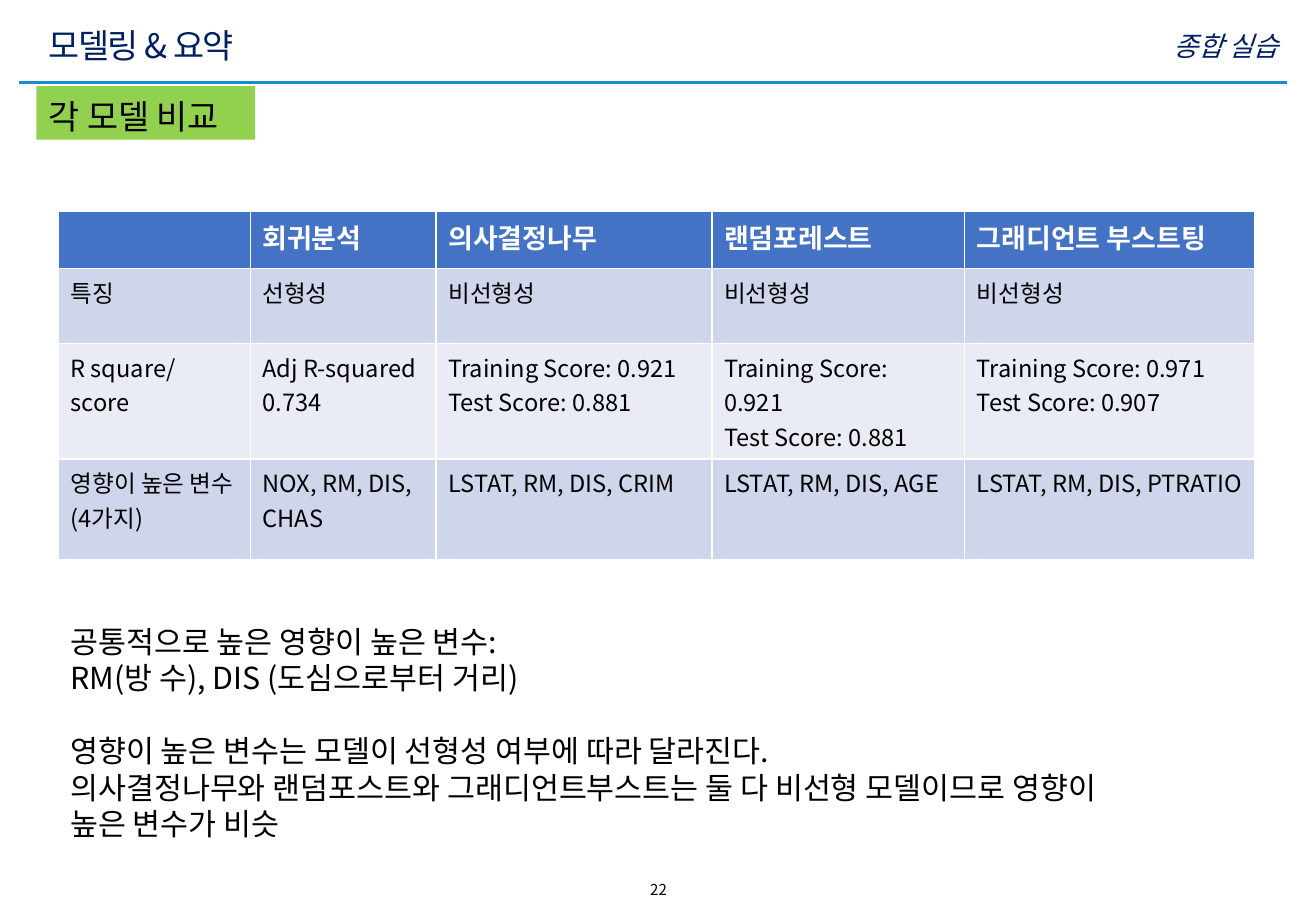
"""Build the model comparison slide."""
from lxml import etree
from pptx import Presentation
from pptx import util as u
from pptx.dml.color import RGBColor
from pptx.enum import shapes, text
from pptx.oxml.ns import qn

PX = 9144
FONT = "Noto Sans CJK KR"
NAVY, BLACK, WHITE = "002060", "000000", "FFFFFF"
LEFT, CENTER, RIGHT = text.PP_ALIGN.LEFT, text.PP_ALIGN.CENTER, text.PP_ALIGN.RIGHT
TOP, MIDDLE = text.MSO_ANCHOR.TOP, text.MSO_ANCHOR.MIDDLE

TITLE = ("모델링 & 요약", (30, 14, 851, 44))
COURSE = ("종합 실습", (655, 24, 407, 30))
SECTION = ("각 모델 비교", (30, 71, 180, 44))
PAGE_NUMBER = ("22", (439, 720, 206, 25))
RULE = (16, 68, 1059, 68)

TABLE_AT = (48, 174)
COLUMN_WIDTHS = (158, 153, 227, 208, 239)
ROW_HEIGHTS = (47, 62, 83, 83)
ROW_FILLS = ("4472C4", "CFD5EA", "E9EBF5", "CFD5EA")
ROWS = [
    ("", "회귀분석", "의사결정나무", "랜덤포레스트", "그래디언트 부스트팅"),
    ("특징", "선형성", "비선형성", "비선형성", "비선형성"),
    ("R square/\nscore", "Adj R-squared\n0.734",
     "Training Score: 0.921\nTest Score: 0.881",
     "Training Score: 0.921\nTest Score: 0.881",
     "Training Score: 0.971\nTest Score: 0.907"),
    ("영향이 높은 변수(4가지)", "NOX, RM, DIS, CHAS", "LSTAT, RM, DIS, CRIM",
     "LSTAT, RM, DIS, AGE", "LSTAT, RM, DIS, PTRATIO"),
]

SUMMARY_AT = (48, 508, 888, 192)
SUMMARY = [
    "공통적으로 높은 영향이 높은 변수:\nRM(방 수), DIS (도심으로부터 거리)",
    "영향이 높은 변수는 모델이 선형성 여부에 따라 달라진다.\n"
    "의사결정나무와 랜덤포스트와 그래디언트부스트는 둘 다 비선형 모델이므로 "
    "영향이 높은 변수가 비슷",
]


def px(*lengths):
    return [u.Emu(length * PX) for length in lengths]


def color(value):
    return RGBColor.from_string(value)


def fill(target, value):
    target.fill.solid()
    target.fill.fore_color.rgb = color(value)


def write(frame, content, size, ink=BLACK, align=LEFT, line=None, spacing=None, **font):
    frame.text = content
    for paragraph in frame.paragraphs:
        paragraph.alignment = align
        if line:
            paragraph.line_spacing = u.Pt(line)
        for run in paragraph.runs:
            values = {"name": FONT, "size": u.Pt(size), "bold": False, **font}
            for name, value in values.items():
                setattr(run.font, name, value)
            run.font.color.rgb = color(ink)
            properties = run._r.get_or_add_rPr()
            etree.SubElement(properties, qn("a:ea"), typeface=FONT)
            if spacing:
                properties.set("spc", str(spacing))


def frame_of(shape, **settings):
    values = {"word_wrap": True, "auto_size": text.MSO_AUTO_SIZE.NONE,
              "vertical_anchor": TOP, **settings}
    for name, value in values.items():
        setattr(shape.text_frame, name, value)
    return shape.text_frame


def add_text(slide, box, **settings):
    return frame_of(slide.shapes.add_textbox(*px(*box)), **settings)


def add_header(slide):
    content, box = TITLE
    title = slide.shapes.title
    for name, value in zip(("left", "top", "width", "height"), px(*box)):
        setattr(title, name, value)
    write(frame_of(title, vertical_anchor=MIDDLE), content, 20, NAVY, line=26, spacing=-100)

    content, box = COURSE
    write(add_text(slide, box, margin_top=0), content, 16, NAVY, RIGHT, italic=True)

    rule = slide.shapes.add_connector(shapes.MSO_CONNECTOR.STRAIGHT, *px(*RULE))
    rule.line.color.rgb = color("188DD0")
    rule.line.width = u.Pt(2)
    etree.SubElement(rule._element.spPr, qn("a:effectLst"))

    content, box = SECTION
    section = slide.shapes.add_shape(shapes.MSO_SHAPE.RECTANGLE, *px(*box))
    section.shadow.inherit = False
    section.line.fill.background()
    fill(section, "92D050")
    write(frame_of(section, word_wrap=False), content, 20, line=26)


def add_comparison(slide):
    size = sum(COLUMN_WIDTHS), sum(ROW_HEIGHTS)
    table = slide.shapes.add_table(
        len(ROWS), len(COLUMN_WIDTHS), *px(*TABLE_AT, *size)).table
    for column, width in zip(table.columns, px(*COLUMN_WIDTHS)):
        column.width = width
    for index, (row, height) in enumerate(zip(table.rows, px(*ROW_HEIGHTS))):
        row.height = height
        header = index == 0
        for cell, content in zip(row.cells, ROWS[index]):
            fill(cell, ROW_FILLS[index])
            write(cell.text_frame, content, 16 if header else 14,
                  WHITE if header else BLACK, bold=header)


def add_summary(slide):
    frame = add_text(slide, SUMMARY_AT)
    write(frame, "\n".join(SUMMARY), 18, line=21.6)
    second_part = SUMMARY[0].count("\n") + 1
    frame.paragraphs[second_part].space_before = u.Pt(21.6)


def main():
    presentation = Presentation()
    presentation.slide_width, presentation.slide_height = px(1083, 750)
    slide = presentation.slides.add_slide(presentation.slide_layouts[5])
    add_header(slide)
    add_comparison(slide)
    add_summary(slide)
    content, box = PAGE_NUMBER
    write(add_text(slide, box, vertical_anchor=MIDDLE), content, 8.9, align=CENTER)
    presentation.save("out.pptx")


if __name__ == "__main__":
    main()
